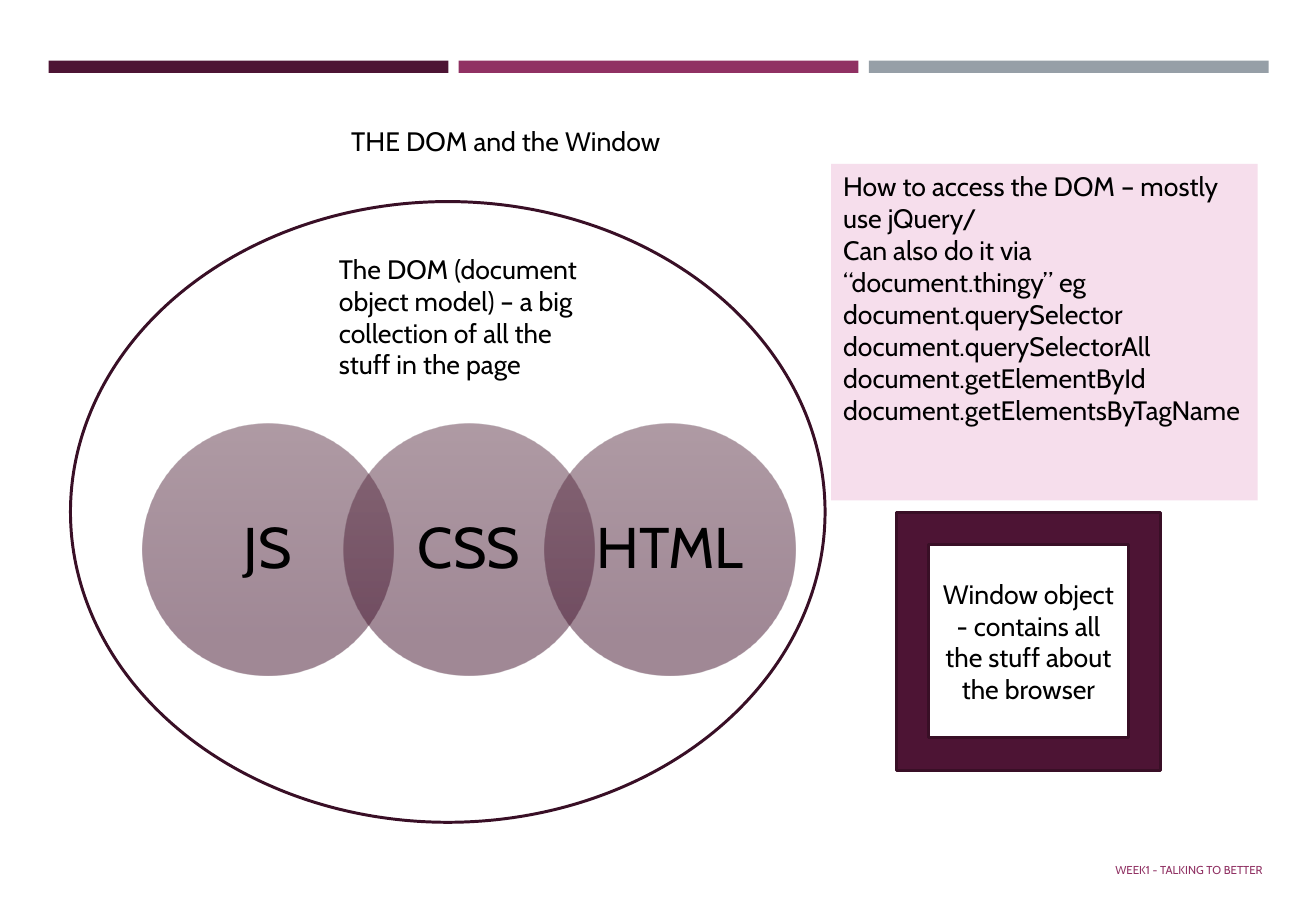
from pptx import Presentation
from pptx.dml.color import RGBColor
from pptx.enum.shapes import MSO_SHAPE
from pptx.enum.text import MSO_ANCHOR, PP_ALIGN
from pptx.oxml.ns import qn
from pptx.util import Inches, Pt
from lxml import etree

RECT, OVAL, FRAME = MSO_SHAPE.RECTANGLE, MSO_SHAPE.OVAL, MSO_SHAPE.FRAME
TOP, MIDDLE = MSO_ANCHOR.TOP, MSO_ANCHOR.MIDDLE
LEFT, CENTER = PP_ALIGN.LEFT, PP_ALIGN.CENTER

COLORS = {
    "plum": "4D1434", "wine": "903163", "slate": "969FA7", "edge": "390F26",
    "pink": "F6DEEC", "light": "5F3649", "dark": "41112C", "ink": "000000",
}


def tint(name):
    return RGBColor.from_string(COLORS[name])


class Deck:
    font = "Cabin"
    size = 15.8

    def __init__(self, width, height):
        self.prs = Presentation()
        self.prs.slide_width, self.prs.slide_height = Inches(width), Inches(height)
        self.slide = self.prs.slides.add_slide(self.prs.slide_layouts[5])

    def label(self, shape, lines, size=None, color="ink", align=LEFT,
              anchor=TOP, wrap=True, space=1.0):
        frame = shape.text_frame
        frame.text = "\n".join(lines)
        margins = {"margin_left": 0.1, "margin_right": 0.1,
                   "margin_top": 0.05, "margin_bottom": 0.05}
        for key, value in margins.items():
            setattr(frame, key, Inches(value))
        frame.word_wrap, frame.vertical_anchor = wrap, anchor
        form = {"name": self.font, "size": Pt(size or self.size), "bold": False}
        for para in frame.paragraphs:
            para.alignment, para.line_spacing = align, space
            para.space_before = Pt(0)
            for key, value in form.items():
                setattr(para.font, key, value)
            para.font.color.rgb = tint(color)

    def title(self, box, text):
        shape = self.slide.shapes.title
        for key, value in zip(("left", "top", "width", "height"), box):
            setattr(shape, key, Inches(value))
        self.label(shape, [text], wrap=False)

    def text(self, box, text, **style):
        shape = self.slide.shapes.add_textbox(*map(Inches, box))
        self.label(shape, [text], **style)

    def shape(self, kind, box, fill=None, line=None):
        shape = self.slide.shapes.add_shape(kind, *map(Inches, box))
        shape.shadow.inherit = False
        if fill:
            shape.fill.solid()
            shape.fill.fore_color.rgb = tint(fill)
        else:
            shape.fill.background()
        if line:
            shape.line.color.rgb = tint(line)
            shape.line.width = Pt(1.75)
        else:
            shape.line.fill.background()
        return shape

    def disc(self, box, text):
        """Add a half-transparent gradient circle with a large label."""
        shape = self.shape(OVAL, box)
        shape.fill.gradient()
        shape.fill.gradient_angle = 270
        stops = (("light", 0), ("dark", 0.84))
        for stop, (name, place) in zip(shape.fill.gradient_stops, stops):
            stop.color.rgb = tint(name)
            stop.position = place
        grad = shape.element.spPr.find(qn("a:gradFill"))
        for color in grad.iter(qn("a:srgbClr")):
            etree.SubElement(color, qn("a:alpha"), val="50000")
        self.label(shape, [text], size=34, align=CENTER, anchor=MIDDLE,
                   wrap=False, space=0.9)


def main():
    deck = Deck(10.83, 7.5)
    for i, name in enumerate(("plum", "wine", "slate")):
        deck.shape(RECT, (0.4 + i * 3.375, 0.5, 3.29, 0.1), name)
    deck.text((9.08, 7, 1.57, 0.32), "WEEK1 - TALKING TO BETTER",
              size=6.8, color="wine", anchor=MIDDLE)
    deck.title((2.79, 0.98, 2.81, 0.37), "THE DOM and the Window")

    for i, name in enumerate(("JS", "CSS", "HTML")):
        deck.disc((1.17 + i * 1.655, 3.49, 2.07, 2.07), name)
    deck.shape(OVAL, (0.58, 1.66, 6.21, 5.11), line="edge")
    deck.text((2.69, 2.03, 2.35, 1.17),
              "The DOM (document object model) – a big collection of all "
              "the stuff in the page")

    window = deck.shape(FRAME, (7.38, 4.22, 2.17, 2.12), "plum", "edge")
    deck.label(window,
               ["Window object - contains all the stuff about the browser"],
               align=CENTER, anchor=MIDDLE)

    access = deck.shape(RECT, (6.84, 1.35, 3.51, 2.77), "pink")
    deck.label(access, [
        "How to access the DOM – mostly use jQuery/",
        "Can also do it via “document.thingy” eg",
        "document.querySelector",
        "document.querySelectorAll",
        "document.getElementById",
        "document.getElementsByTagName",
    ])
    deck.prs.save("out.pptx")


if __name__ == "__main__":
    main()
